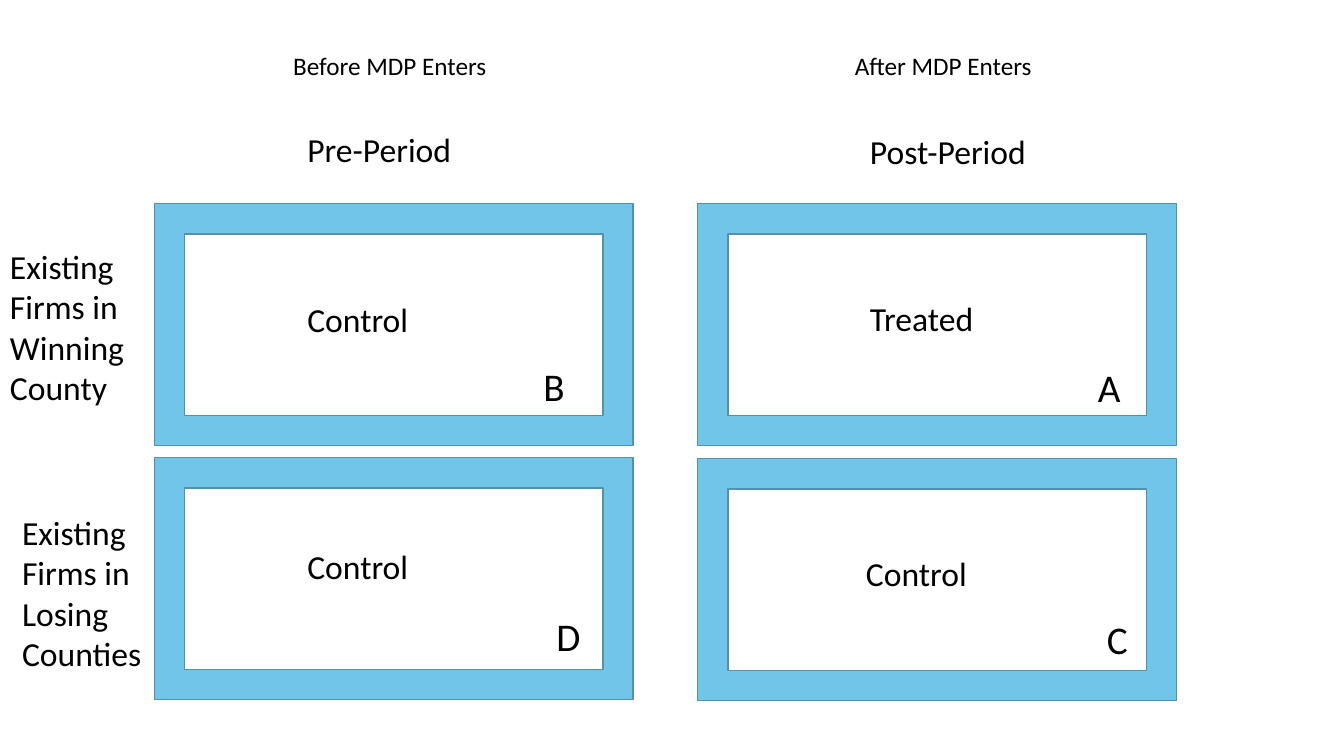
import pptx
import pptx.dml.color
import pptx.enum.shapes
import pptx.enum.text
import pptx.util

Inches = pptx.util.Inches


class StudyDesignSlide:
    """Draw frames and labels on one slide in a shared style."""

    font_name = "Calibri"
    colours = {"frame": "71C5E8", "outline": "5492AC", "text": "000000"}

    def __init__(self, presentation):
        self.slide = presentation.slides.add_slide(presentation.slide_layouts[6])

    def colour(self, name):
        return pptx.dml.color.RGBColor.from_string(self.colours[name])

    def frame(self, left, top, width=4.75, height=2.4):
        shape = self.slide.shapes.add_shape(
            pptx.enum.shapes.MSO_SHAPE.FRAME,
            Inches(left), Inches(top), Inches(width), Inches(height))
        shape.shadow.inherit = False
        shape.fill.solid()
        shape.fill.fore_color.rgb = self.colour("frame")
        shape.line.color.rgb = self.colour("outline")
        shape.line.width = pptx.util.Pt(1)

    def label(self, text, left, top, width, height=0.5, size=24):
        shape = self.slide.shapes.add_textbox(
            Inches(left), Inches(top), Inches(width), Inches(height))
        text_frame = shape.text_frame
        text_frame.word_wrap = True
        text_frame.auto_size = pptx.enum.text.MSO_AUTO_SIZE.SHAPE_TO_FIT_TEXT
        run = text_frame.paragraphs[0].add_run()
        run.text = text
        run.font.name = self.font_name
        run.font.size = pptx.util.Pt(size)
        run.font.color.rgb = self.colour("text")


def main():
    presentation = pptx.Presentation()
    presentation.slide_width = Inches(13.33)
    presentation.slide_height = Inches(7.5)
    design = StudyDesignSlide(presentation)

    for left, top in ((1.53, 2.02), (6.92, 2.02), (1.53, 4.54), (6.92, 4.55)):
        design.frame(left, top)

    design.label("Pre-Period", 2.95, 1.23, 4.27)
    design.label("Post-Period", 8.53, 1.25, 3.67)
    design.label("Existing Firms in Winning County", 0, 2.39, 1.42, 1.72)
    design.label("Existing Firms in Losing Counties", 0.12, 5.03, 1.41, 1.72)

    for letter, left, top in (("C", 10.88, 6.06), ("B", 5.29, 3.55),
                              ("A", 10.79, 3.56), ("D", 5.42, 6.03)):
        design.label(letter, left, top, 0.77, 0.57, size=28)

    design.label("After MDP Enters", 8.38, 0.45, 3, 0.4, size=18)
    design.label("Before MDP Enters", 2.81, 0.45, 2.78, 0.4, size=18)

    for status, left, top, width in (("Treated", 8.53, 2.91, 2.26),
                                     ("Control", 2.95, 2.92, 1.53),
                                     ("Control", 2.95, 5.37, 1.53),
                                     ("Control", 8.49, 5.44, 1.59)):
        design.label(status, left, top, width)

    presentation.save("out.pptx")


if __name__ == "__main__":
    main()
